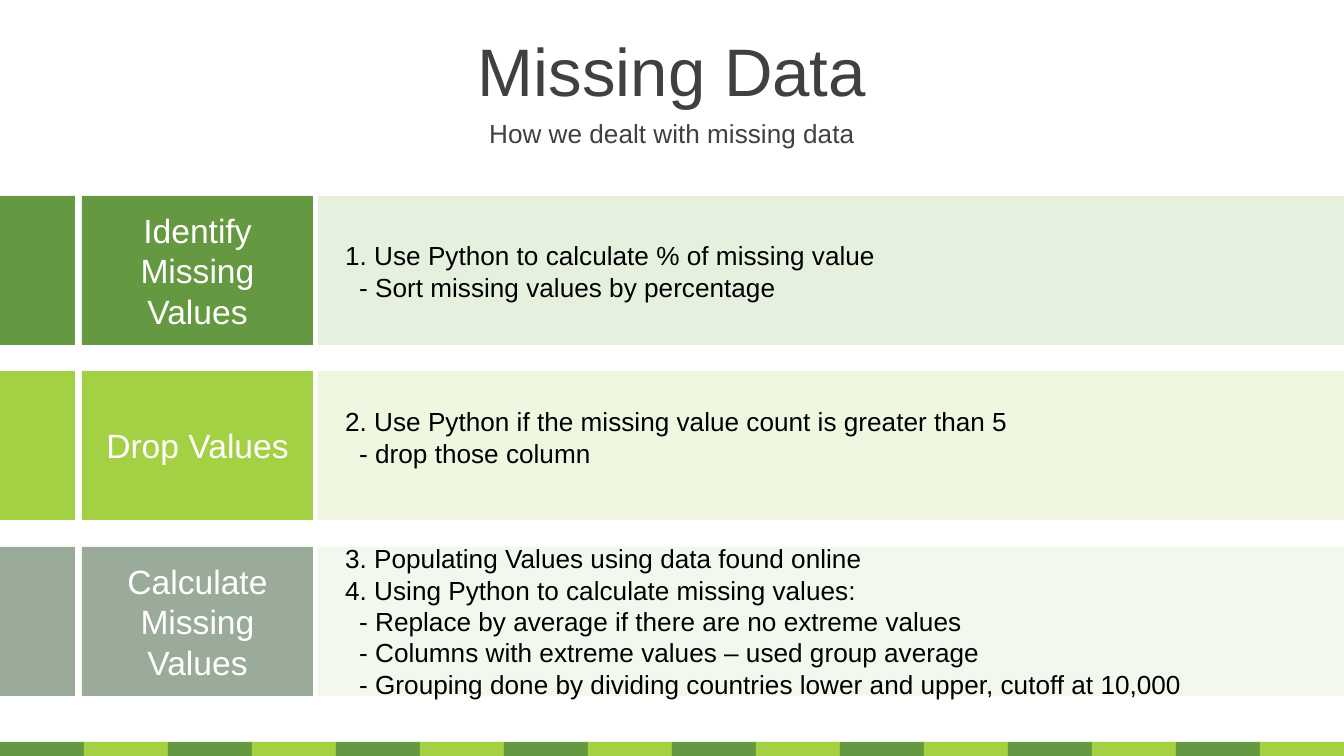
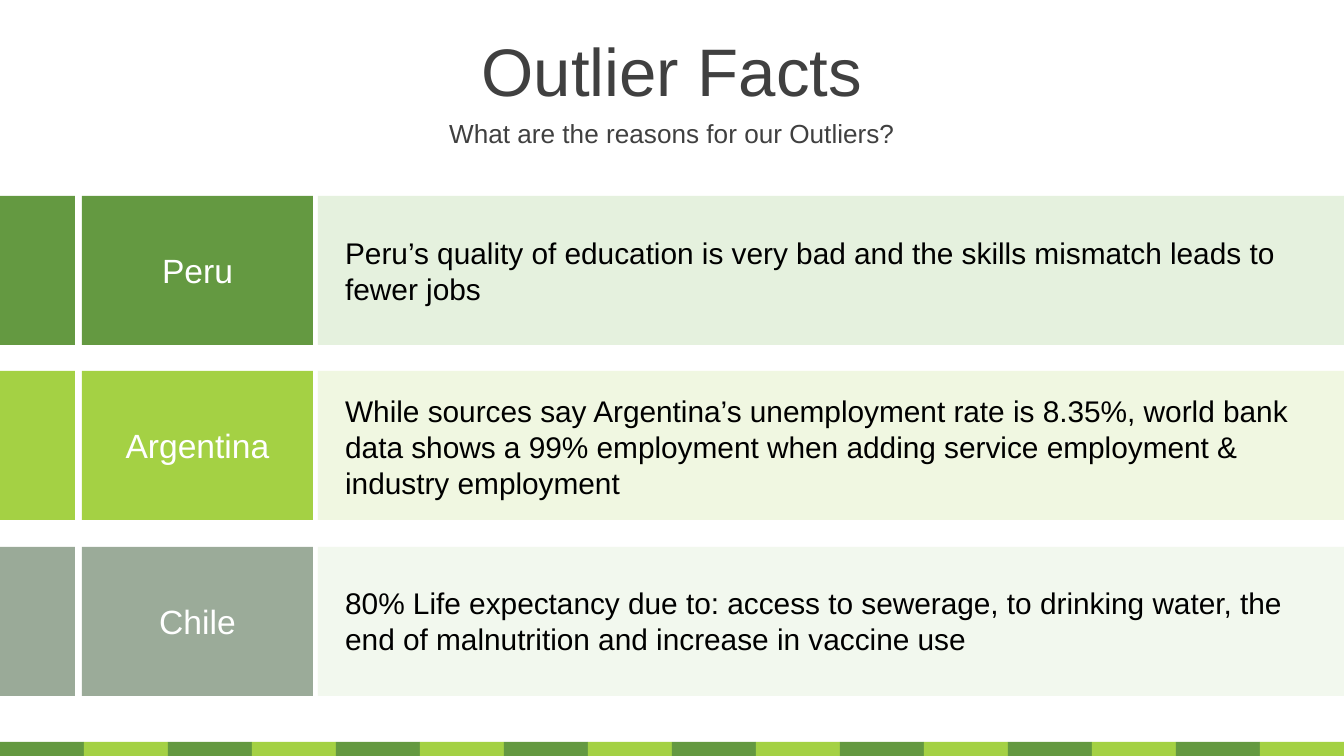
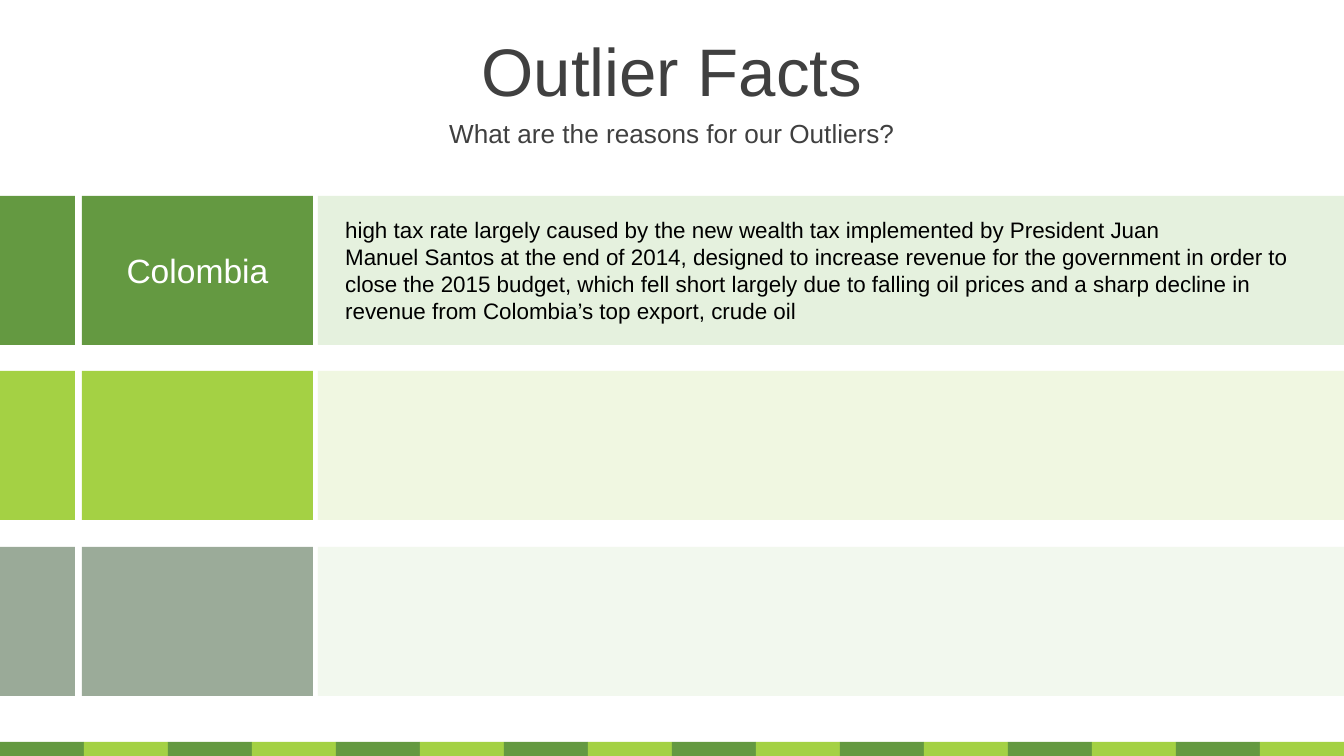
from lxml import etree
from pptx import Presentation
from pptx.dml.color import RGBColor
from pptx.enum import shapes, text
from pptx.oxml import ns
from pptx import util as u

PX = 914400 / 134.4
PAGE_WIDTH, PAGE_HEIGHT = 1344, 756
FONT = "Arial"
NBSP = chr(160)

# Colours
GREEN = RGBColor(0x64, 0x99, 0x41)
LIME = RGBColor(0xA4, 0xD1, 0x44)
MOSS = RGBColor(0x70, 0x87, 0x6D)
SAGE = RGBColor(0x9B, 0xAB, 0x99)
PALE_GREEN = RGBColor(0xC0, 0xDC, 0xAD)
PALE_LIME = RGBColor(0xDB, 0xED, 0xB4)
PALE_SAGE = RGBColor(0xDF, 0xEE, 0xD6)
GREY = RGBColor(0x40, 0x40, 0x40)
BLACK = RGBColor(0, 0, 0)
WHITE = RGBColor(0xFF, 0xFF, 0xFF)

# Rows: panel colour, edge colour, edge opacity in percent, label colour
ROWS = [
    (PALE_GREEN, GREEN, 100, GREEN),
    (PALE_LIME, LIME, 100, LIME),
    (PALE_SAGE, MOSS, 70, SAGE),
]
ROW_HEIGHT = 149
EDGE_WIDTH = 75
LABEL_LEFT, LABEL_WIDTH = 82, 231
PANEL_LEFT = 318
NOTE_LEFT, NOTE_WIDTH = 332, 992
SUB_INDENT = 14
STRIP_COUNT, STRIP_HEIGHT = 16, 14

# Slides: title, subtitle, note size, rows of (label, note top, note height, lines)
SLIDES = [
    ("Missing Data", "How we dealt with missing data", 14, [
        ("Identify Missing Values", 233, 77, [
            "1. Use Python to calculate % of missing value",
            "- Sort missing values by percentage",
        ]),
        ("Drop Values", 399, 77, [
            "2. Use Python if the missing value count is greater than 5",
            "- drop those column",
        ]),
        ("Calculate Missing Values", 536, 172, [
            "3. Populating Values using data found online",
            "4. Using Python to calculate missing values:",
            "- Replace by average if there are no extreme values",
            "- Columns with extreme values – used group average",
            "- Grouping done by dividing countries lower and upper, cutoff at 10,000",
        ]),
    ]),
    ("Outlier Facts", "What are the reasons for our Outliers?", 16, [
        ("Peru", 228, 86, [
            "Peru’s quality of education is very bad and the skills mismatch "
            "leads to fewer jobs",
        ]),
        ("Argentina", 386, 122, [
            "While sources say Argentina’s unemployment rate is 8.35%, world bank "
            "data shows a 99% employment when adding service employment & "
            "industry employment",
        ]),
        ("Chile", 578, 86, [
            "80% Life expectancy due to: access to sewerage, to drinking water, "
            "the end of malnutrition and increase in vaccine use",
        ]),
    ]),
    ("Outlier Facts", "What are the reasons for our Outliers?", 12, [
        ("Colombia", 210, 122, [
            "high tax rate largely caused by the new wealth tax implemented by "
            f"President Juan Manuel{NBSP}Santos at the end of 2014, designed to "
            "increase revenue for the government in order to close the 2015 "
            "budget, which fell short largely due to falling oil prices and a "
            "sharp decline in revenue from Colombia’s top export, crude oil",
        ]),
    ]),
]


def emu(*lengths):
    return [u.Emu(round(length * PX)) for length in lengths]


def row_top(row):
    return 196 + row * 351 // 2


def write(shape, lines, size, color, align, anchor):
    frame = shape.text_frame
    frame.word_wrap = True
    frame.vertical_anchor = anchor
    for number, line in enumerate(lines):
        para = frame.paragraphs[0] if number == 0 else frame.add_paragraph()
        para.alignment = align
        if line.startswith("- "):
            indent = emu(SUB_INDENT)[0]
            para._p.get_or_add_pPr().set("marL", str(indent))
        span = para.add_run()
        span.text = line
        for name, value in {"name": FONT, "size": u.Pt(size)}.items():
            setattr(span.font, name, value)
        span.font.color.rgb = color


def add_block(page, left, top, width, height, color, opacity=100):
    block = page.shapes.add_shape(
        shapes.MSO_SHAPE.RECTANGLE, *emu(left, top, width, height))
    block.shadow.inherit = False
    block.line.fill.background()
    block.fill.solid()
    block.fill.fore_color.rgb = color
    if opacity < 100:
        fill_color = block._element.spPr.find(".//" + ns.qn("a:srgbClr"))
        etree.SubElement(fill_color, ns.qn("a:alpha"), val=str(opacity * 1000))
    return block


def add_words(page, left, top, width, height, lines, size, color,
              align=text.PP_ALIGN.LEFT, anchor=text.MSO_ANCHOR.TOP):
    box = page.shapes.add_textbox(*emu(left, top, width, height))
    write(box, lines, size, color, align, anchor)


def add_background(page):
    for row, (panel, edge, opacity, _) in enumerate(ROWS):
        top = row_top(row)
        add_block(page, PANEL_LEFT, top, PAGE_WIDTH - PANEL_LEFT, ROW_HEIGHT,
                  panel, 40)
        add_block(page, 0, top, EDGE_WIDTH, ROW_HEIGHT, edge, opacity)
    # Footer strip
    width = PAGE_WIDTH // STRIP_COUNT
    for number in range(STRIP_COUNT):
        add_block(page, number * width, PAGE_HEIGHT - STRIP_HEIGHT, width,
                  STRIP_HEIGHT, (GREEN, LIME)[number % 2])


def add_heading(page, title, subtitle):
    for top, height, line, size in ((27, 85, title, 36), (112, 42, subtitle, 14)):
        add_words(page, 0, top, PAGE_WIDTH, height, [line], size, GREY,
                  text.PP_ALIGN.CENTER, text.MSO_ANCHOR.MIDDLE)


def add_rows(page, size, entries):
    for _, top, height, lines in entries:
        add_words(page, NOTE_LEFT, top, NOTE_WIDTH, height, lines, size, BLACK)
    for row, (*_, color) in enumerate(ROWS):
        label = add_block(page, LABEL_LEFT, row_top(row), LABEL_WIDTH,
                          ROW_HEIGHT, color)
        if row < len(entries):
            write(label, [entries[row][0]], 18, WHITE,
                  text.PP_ALIGN.CENTER, text.MSO_ANCHOR.MIDDLE)


def main():
    deck = Presentation()
    deck.slide_width, deck.slide_height = emu(PAGE_WIDTH, PAGE_HEIGHT)
    for title, subtitle, size, entries in SLIDES:
        page = deck.slides.add_slide(deck.slide_layouts[6])
        add_background(page)
        add_heading(page, title, subtitle)
        add_rows(page, size, entries)
    deck.save("out.pptx")


if __name__ == "__main__":
    main()
